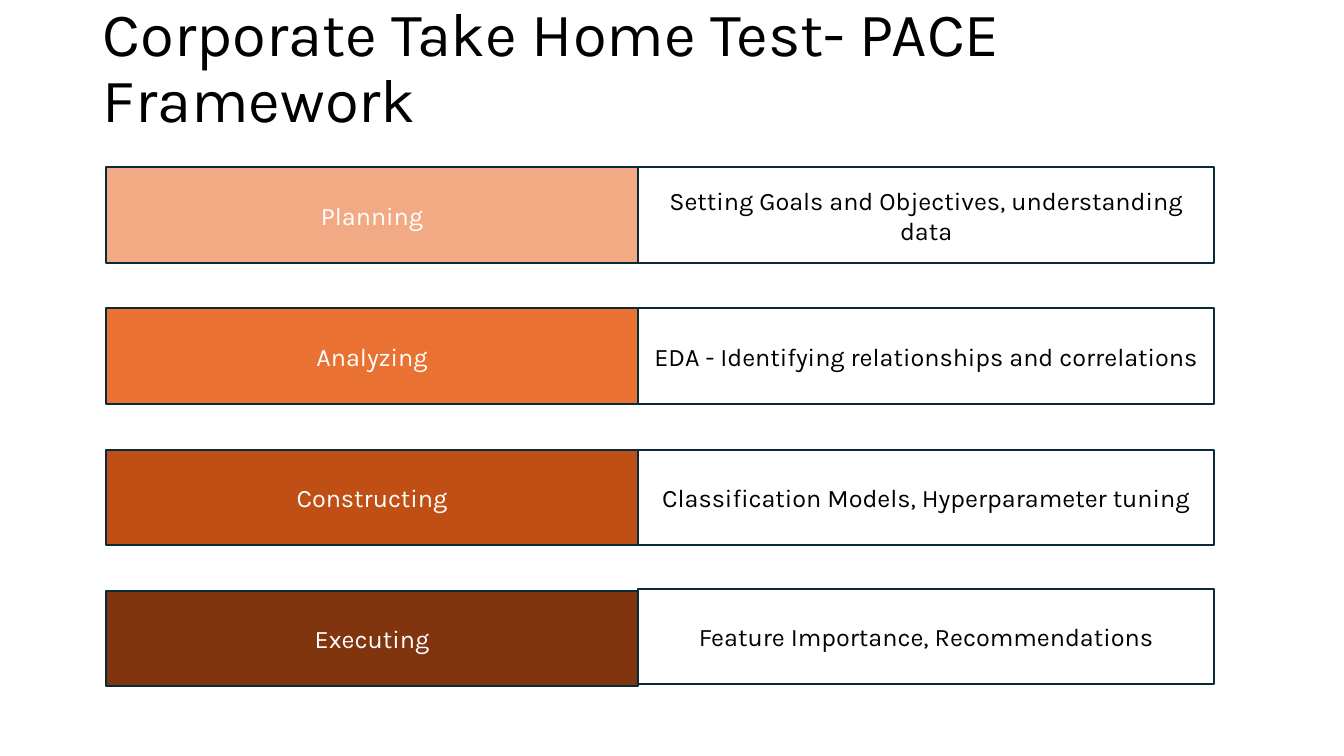
import pptx
import pptx.dml.color
import pptx.enum.shapes
import pptx.enum.text
import pptx.util

Inches = pptx.util.Inches
Pt = pptx.util.Pt
ALIGN = pptx.enum.text.PP_ALIGN
ANCHOR = pptx.enum.text.MSO_ANCHOR

TITLE = "Corporate Take Home Test- PACE Framework"
# stage, fill, detail, top of detail box relative to its row
STAGES = [
    ("Planning", "F2AA84", "Setting Goals and Objectives, understanding data", 0),
    ("Analyzing", "E97132", "EDA - Identifying relationships and correlations", 0),
    ("Constructing", "C04F15", "Classification Models, Hyperparameter tuning", 0),
    ("Executing", "80350E", "Feature Importance, Recommendations", -0.02),
]
FONT, EDGE, BLACK, WHITE = "Karla", "092A39", "000000", "FFFFFF"
LEFT, TOP, STEP, HIGH = 1.05, 1.66, 1.4, 0.95
STAGE_W, DETAIL_W = 5.28, 5.71


def color(value):
    return pptx.dml.color.RGBColor.from_string(value)


def write(shape, text, size, ink, align, anchor):
    frame = shape.text_frame
    formats = {
        "word_wrap": True,
        "auto_size": pptx.enum.text.MSO_AUTO_SIZE.NONE,
        "vertical_anchor": anchor,
    }
    for name, value in formats.items():
        setattr(frame, name, value)
    para = frame.paragraphs[0]
    para.alignment = align
    run = para.add_run()
    run.text = text
    for name, value in {"name": FONT, "size": Pt(size), "bold": False}.items():
        setattr(run.font, name, value)
    run.font.color.rgb = color(ink)
    return para


def box(slide, left, top, width, text, ink, fill=None):
    kind = pptx.enum.shapes.MSO_SHAPE.RECTANGLE
    place = [Inches(n) for n in (left, top, width, HIGH)]
    shape = slide.shapes.add_shape(kind, *place)
    shape.shadow.inherit = False
    if fill:
        shape.fill.solid()
        shape.fill.fore_color.rgb = color(fill)
    else:
        shape.fill.background()
    shape.line.color.rgb = color(EDGE)
    shape.line.width = Pt(1.5)
    write(shape, text, 18, ink, ALIGN.CENTER, ANCHOR.MIDDLE)


def main():
    deck = pptx.Presentation()
    deck.slide_width, deck.slide_height = Inches(13.33), Inches(7.5)
    slide = deck.slides.add_slide(deck.slide_layouts[5])

    title = slide.shapes.title
    place = {"left": 0.92, "top": 0.4, "width": 11.5, "height": 1}
    for name, value in place.items():
        setattr(title, name, Inches(value))
    para = write(title, TITLE, 44, BLACK, ALIGN.LEFT, ANCHOR.BOTTOM)
    para.line_spacing = 0.9

    for row, (stage, fill, detail, shift) in enumerate(STAGES):
        top = TOP + row * STEP
        box(slide, LEFT, top, STAGE_W, stage, WHITE, fill)
        box(slide, LEFT + STAGE_W, top + shift, DETAIL_W, detail, BLACK)

    deck.save("out.pptx")


if __name__ == "__main__":
    main()
